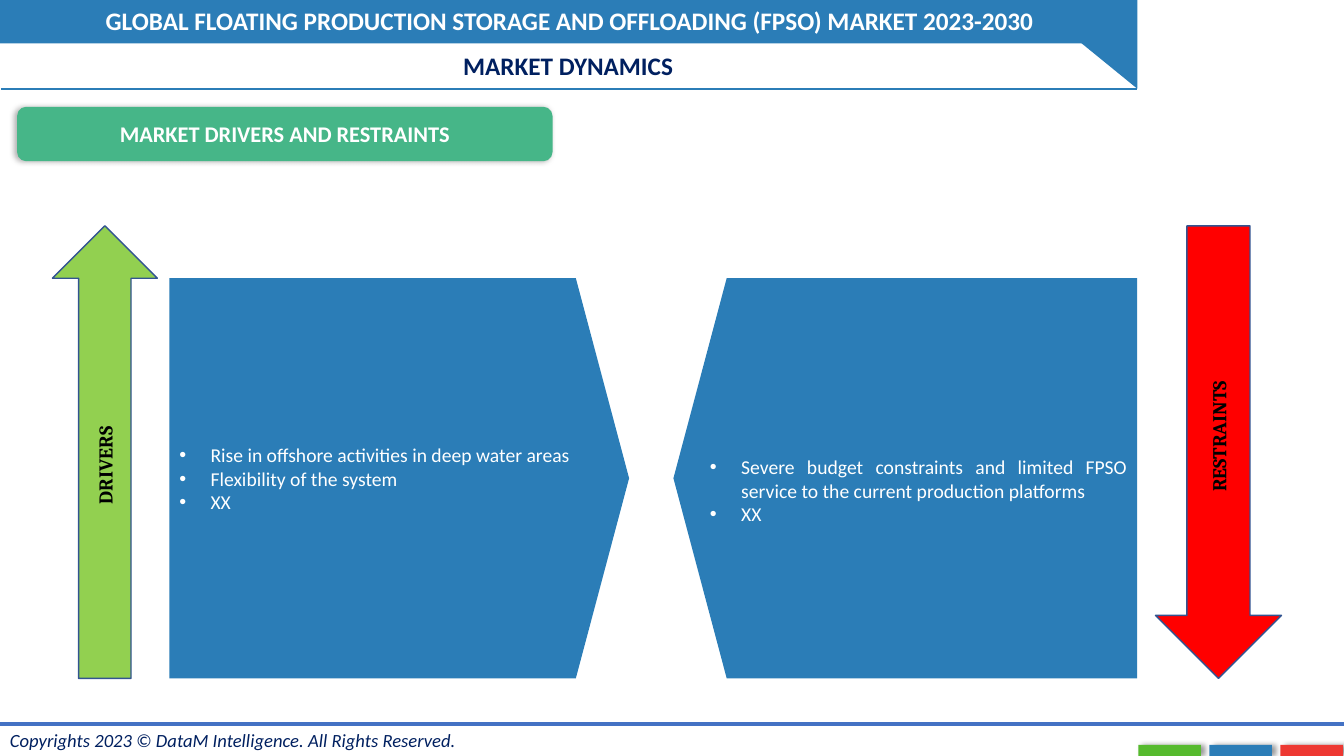
from lxml import etree
from pptx import Presentation
from pptx.dml.color import RGBColor
from pptx.enum.shapes import MSO_CONNECTOR, MSO_SHAPE
from pptx.enum.text import MSO_ANCHOR, MSO_AUTO_SIZE, PP_ALIGN
from pptx.oxml.ns import qn
from pptx.util import Inches, Pt

BLUE = RGBColor(0x2B, 0x7D, 0xB7)
RULE_BLUE = RGBColor(0x44, 0x72, 0xC4)
OUTLINE_BLUE = RGBColor(0x32, 0x54, 0x91)
NAVY = RGBColor(0x00, 0x20, 0x60)
TEAL = RGBColor(0x46, 0xB6, 0x88)
LIME = RGBColor(0x92, 0xD0, 0x50)
RED = RGBColor(0xFF, 0x00, 0x00)
TAB_GREEN = RGBColor(0x56, 0xBA, 0x2E)
TAB_RED = RGBColor(0xED, 0x38, 0x32)
WHITE = RGBColor(0xFF, 0xFF, 0xFF)
BLACK = RGBColor(0x00, 0x00, 0x00)

CENTER, JUSTIFY, LEFT = PP_ALIGN.CENTER, PP_ALIGN.JUSTIFY, PP_ALIGN.LEFT
TOP, MIDDLE = MSO_ANCHOR.TOP, MSO_ANCHOR.MIDDLE
NO_AUTOFIT = MSO_AUTO_SIZE.NONE
STRAIGHT = MSO_CONNECTOR.STRAIGHT
RECTANGLE, ROUNDED = MSO_SHAPE.RECTANGLE, MSO_SHAPE.ROUNDED_RECTANGLE
TRIANGLE, PENTAGON = MSO_SHAPE.RIGHT_TRIANGLE, MSO_SHAPE.PENTAGON
UP_ARROW, DOWN_ARROW = MSO_SHAPE.UP_ARROW, MSO_SHAPE.DOWN_ARROW

ARROW_TOP, ARROW_HEIGHT = 2.24, 4.49
PANEL_TOP, PANEL_HEIGHT = 2.76, 3.97
INDENT = Inches(0.31)


def style(paragraph, size, color, bold=False, italic=False, font="Calibri", align=CENTER):
    paragraph.alignment = align
    paragraph.font.name = font
    paragraph.font.size = Pt(size)
    paragraph.font.color.rgb = color
    paragraph.font.bold = bold
    paragraph.font.italic = italic


def write(shape, text, size, color, anchor=MIDDLE, wrap=True, **look):
    frame = shape.text_frame
    frame.auto_size = NO_AUTOFIT
    frame.word_wrap = wrap
    frame.vertical_anchor = anchor
    frame.text = text
    style(frame.paragraphs[0], size, color, **look)


def add_block(slide, preset, left, top, width, height, fill, outline=None):
    block = slide.shapes.add_shape(
        preset, Inches(left), Inches(top), Inches(width), Inches(height))
    block.shadow.inherit = False
    block.fill.solid()
    block.fill.fore_color.rgb = fill
    if outline is None:
        block.line.fill.background()
    else:
        block.line.color.rgb = outline
        block.line.width = Pt(1)
    return block


def cast_shadow(block, alpha, distance, degrees):
    effects = block._element.spPr.find(qn("a:effectLst"))
    shadow = etree.SubElement(
        effects, qn("a:outerShdw"), blurRad=str(Pt(4)), dist=str(Pt(distance)),
        dir=str(degrees * 60000), algn="ctr", rotWithShape="0")
    color = etree.SubElement(shadow, qn("a:srgbClr"), val=str(BLACK))
    etree.SubElement(color, qn("a:alpha"), val=str(alpha * 1000))


def add_rule(slide, left, right, y, color, weight):
    rule = slide.shapes.add_connector(
        STRAIGHT, Inches(left), Inches(y), Inches(right), Inches(y))
    rule.line.color.rgb = color
    rule.line.width = Pt(weight)
    etree.SubElement(rule._element.spPr, qn("a:effectLst"))


def add_label(slide, left, top, width, height, text, size, color, **look):
    label = slide.shapes.add_textbox(
        Inches(left), Inches(top), Inches(width), Inches(height))
    write(label, text, size, color, anchor=TOP, **look)


def add_arrow(slide, preset, left, width, fill, text):
    arrow = add_block(slide, preset, left, ARROW_TOP, width, ARROW_HEIGHT, fill, OUTLINE_BLUE)
    write(arrow, text, 14, BLACK, bold=True, font="Cambria")
    arrow.text_frame._txBody.bodyPr.set("vert", "vert270")


def add_panel(slide, left, width, items, align):
    panel = add_block(slide, PENTAGON, left, PANEL_TOP, width, PANEL_HEIGHT, BLUE)
    panel.adjustments[0] = 0.133
    frame = panel.text_frame
    frame.word_wrap = True
    frame.vertical_anchor = MIDDLE
    frame.text = "\n".join(items)
    for item in frame.paragraphs:
        properties = item._p.get_or_add_pPr()
        properties.set("marL", str(INDENT))
        properties.set("indent", str(-INDENT))
        etree.SubElement(properties, qn("a:buFont"), typeface="Arial")
        etree.SubElement(properties, qn("a:buChar"), char="•")
        style(item, 14, WHITE, align=align)
    return panel


def main():
    prs = Presentation()
    prs.slide_width, prs.slide_height = Inches(13.33), Inches(7.5)
    slide = prs.slides.add_slide(prs.slide_layouts[5])

    # Header band and slide title
    add_block(slide, RECTANGLE, 0, 0, 10.74, 0.43, BLUE)
    add_block(slide, TRIANGLE, 10.2, 0, 1.08, 0.88, BLUE).rotation = 180
    add_rule(slide, 0.01, 11.28, 0.88, BLUE, 1.5)
    add_label(slide, 0.01, 0, 11.28, 0.4,
              "GLOBAL FLOATING PRODUCTION STORAGE AND OFFLOADING (FPSO) MARKET 2023-2030",
              18, WHITE, bold=True)
    title = slide.shapes.title
    title.left, title.top = Inches(0), Inches(0.45)
    title.width, title.height = Inches(11.27), Inches(0.4)
    write(title, "MARKET DYNAMICS", 18, NAVY, anchor=TOP, bold=True)

    # Footer
    for i, color in enumerate((TAB_GREEN, BLUE, TAB_RED)):
        tab = add_block(slide, RECTANGLE, 11.29 + i * 0.705, 7.39, 0.62, 0.11, color)
        cast_shadow(tab, 40, 3, 0)
    add_rule(slide, 0, 13.33, 7.18, RULE_BLUE, 3)
    add_label(slide, 0, 7.18, 4.68, 0.33,
              "Copyrights 2023 © DataM Intelligence. All Rights Reserved.",
              13.3, NAVY, italic=True, align=LEFT, wrap=False)

    # Section heading
    heading = add_block(slide, ROUNDED, 0.17, 1.06, 5.31, 0.54, TEAL)
    cast_shadow(heading, 30, 2, 180)
    write(heading, "MARKET DRIVERS AND RESTRAINTS", 16, WHITE, bold=True)

    # Drivers
    add_arrow(slide, UP_ARROW, 0.52, 1.04, LIME, "DRIVERS")
    add_panel(slide, 1.68, 4.56,
              ["Rise in offshore activities in deep water areas",
               "Flexibility of the system", "XX"], LEFT)

    # Restraints, in a panel mirrored to face the drivers
    restraints = add_panel(
        slide, 6.68, 4.6,
        ["Severe budget constraints and limited FPSO service to the current "
         "production platforms", "XX"], JUSTIFY)
    restraints._element.spPr.xfrm.set("flipH", "1")
    restraints.text_frame.margin_top = Inches(0.29)
    add_arrow(slide, DOWN_ARROW, 11.46, 1.25, RED, "RESTRAINTS")

    prs.save("out.pptx")


if __name__ == "__main__":
    main()
